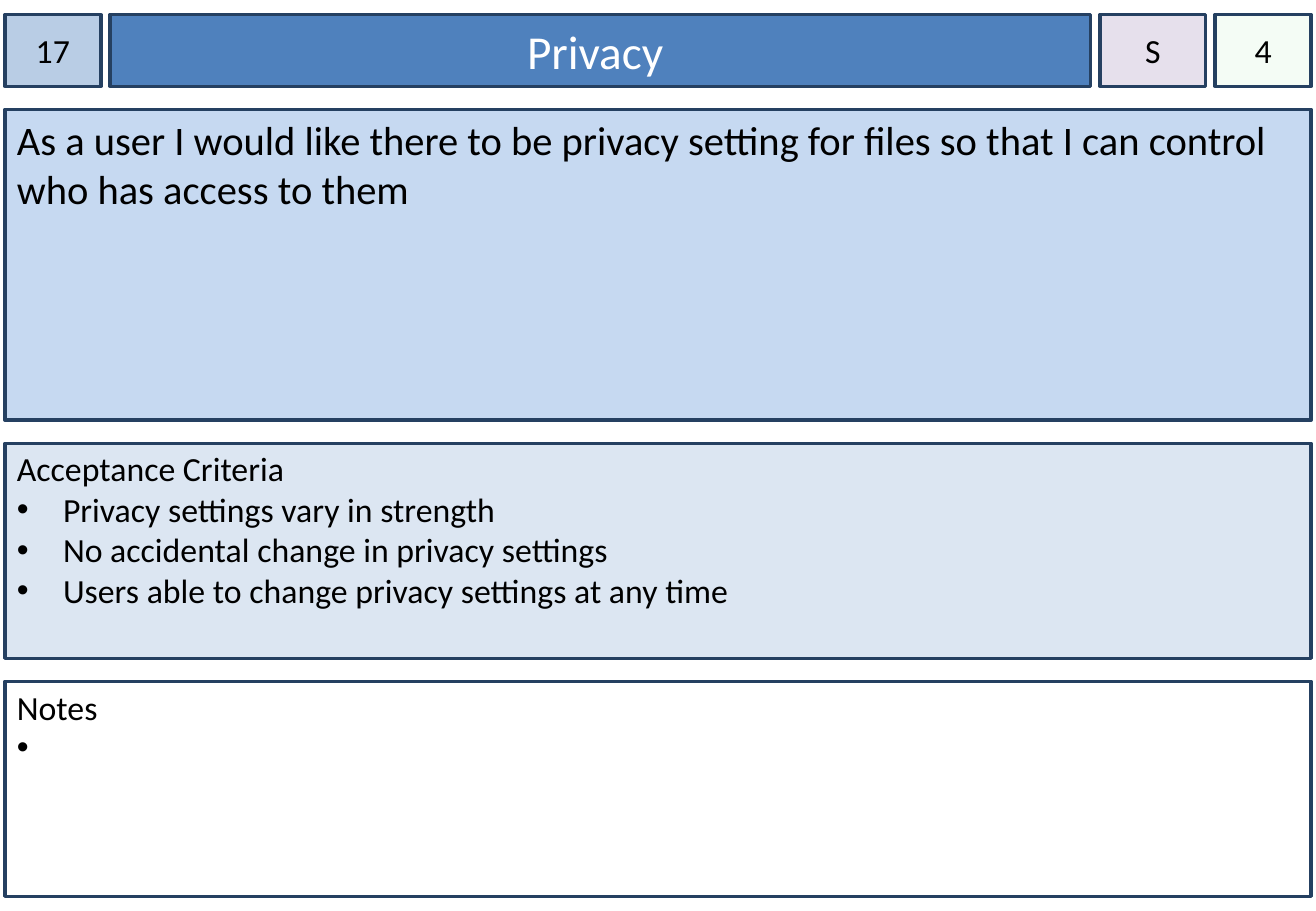
"""Build a user story card with a header row and three stacked panels."""
from dataclasses import dataclass

from lxml.etree import SubElement
from pptx import Presentation
from pptx.dml.color import RGBColor
from pptx.enum.shapes import MSO_SHAPE
from pptx.enum.text import MSO_ANCHOR, PP_ALIGN
from pptx.oxml.ns import qn
from pptx.shapes.autoshape import Shape
from pptx.slide import Slide
from pptx.util import Inches, Pt


@dataclass(frozen=True)
class Theme:
    """Colours, type sizes and font of the card."""
    font: str = "Calibri"
    ink: str = "000000"
    white: str = "FFFFFF"
    edge: str = "254061"
    number: str = "B9CDE5"
    title: str = "4F81BD"
    size: str = "E6E0EC"
    points: str = "CCF0CD"
    story: str = "C6D9F1"
    tests: str = "DCE6F2"
    small: int = 20
    large: int = 24
    head: int = 28
    rule: int = 2


@dataclass(frozen=True)
class Tile:
    """A centred header box."""
    text: str
    width: float
    fill: str
    alpha: int = 100
    ink: str = "000000"
    size: int = 20
    inset: float = 0


@dataclass(frozen=True)
class Panel:
    """A full-width box of plain lines followed by bullets."""
    lines: tuple[str, ...]
    height: float
    fill: str
    size: int = 20
    top: float = 0.04
    bullets: tuple[str, ...] = ()
    indent: float = 0.38


THEME = Theme()
LEFT, TOP, WIDTH = 0.04, 0.12, 10.75
ROW, GAP = 0.59, 0.19

TILES = (
    Tile("17", 0.79, THEME.number),
    Tile("Privacy ", 8.07, THEME.title, ink=THEME.white, size=THEME.head, inset=0.1),
    Tile("S", 0.87, THEME.size),
    Tile("4", 0.79, THEME.points, alpha=20),
)

PANELS = (
    Panel(
        ("As a user I would like there to be privacy setting for files so that I can control",
         "who has access to them"),
        2.56, THEME.story, size=THEME.large, top=0.05,
    ),
    Panel(
        ("Acceptance Criteria",), 1.77, THEME.tests,
        bullets=("Privacy settings vary in strength ",
                 "No accidental change in privacy settings",
                 "Users able to change privacy settings at any time"),
    ),
    Panel(("Notes",), 1.77, THEME.white, bullets=(" ",), indent=0.2),
)


def add_box(slide: Slide, left: float, top: float, width: float, height: float,
            fill: str) -> Shape:
    """Add an outlined rectangle."""
    box = slide.shapes.add_shape(
        MSO_SHAPE.RECTANGLE, Inches(left), Inches(top), Inches(width), Inches(height))
    box.shadow.inherit = False
    box.fill.solid()
    box.fill.fore_color.rgb = RGBColor.from_string(fill)
    box.line.color.rgb = RGBColor.from_string(THEME.edge)
    box.line.width = Pt(THEME.rule)
    box.text_frame.word_wrap = True
    return box


def set_alpha(box: Shape, alpha: int) -> None:
    """Set the opacity of the fill in percent."""
    color = box.fill._xPr.find(qn("a:solidFill"))[0]
    SubElement(color, qn("a:alpha"), val=str(alpha * 1000))


def add_line(box: Shape, index: int, text: str, size: int, ink: str,
             align: PP_ALIGN, indent: float = 0) -> None:
    """Write one paragraph, with a bullet when it is indented."""
    frame = box.text_frame
    para = frame.add_paragraph() if index else frame.paragraphs[0]
    para.alignment = align
    if indent:
        props = para._p.get_or_add_pPr()
        props.set("marL", str(Inches(indent)))
        props.set("indent", str(-Inches(indent)))
        SubElement(props, qn("a:buFont"), typeface="Arial")
        SubElement(props, qn("a:buChar"), char="•")
    run = para.add_run()
    run.text = text
    run.font.name = THEME.font
    run.font.size = Pt(size)
    run.font.color.rgb = RGBColor.from_string(ink)


def add_tile(slide: Slide, tile: Tile, left: float) -> None:
    """Draw a header box."""
    box = add_box(slide, left, TOP, tile.width, ROW, tile.fill)
    if tile.alpha < 100:
        set_alpha(box, tile.alpha)
    frame = box.text_frame
    frame.vertical_anchor = MSO_ANCHOR.MIDDLE
    frame.margin_left = frame.margin_right = Inches(tile.inset)
    add_line(box, 0, tile.text, tile.size, tile.ink, PP_ALIGN.CENTER)


def add_panel(slide: Slide, panel: Panel, top: float) -> None:
    """Draw a panel with its lines and bullets."""
    box = add_box(slide, LEFT, top, WIDTH, panel.height, panel.fill)
    box.text_frame.vertical_anchor = MSO_ANCHOR.TOP
    box.text_frame.margin_top = Inches(panel.top)
    rows = [(line, 0) for line in panel.lines]
    rows += [(line, panel.indent) for line in panel.bullets]
    for index, (line, indent) in enumerate(rows):
        add_line(box, index, line, panel.size, THEME.ink, PP_ALIGN.LEFT, indent)


def main() -> None:
    """Build and save the card."""
    deck = Presentation()
    deck.slide_width, deck.slide_height = Inches(10.83), Inches(7.5)
    slide = deck.slides.add_slide(deck.slide_layouts[6])

    left = LEFT
    space = (WIDTH - sum(tile.width for tile in TILES)) / (len(TILES) - 1)
    for tile in TILES:
        add_tile(slide, tile, left)
        left += tile.width + space

    top = TOP + ROW + GAP
    for panel in PANELS:
        add_panel(slide, panel, top)
        top += panel.height + GAP

    deck.save("out.pptx")


main()
